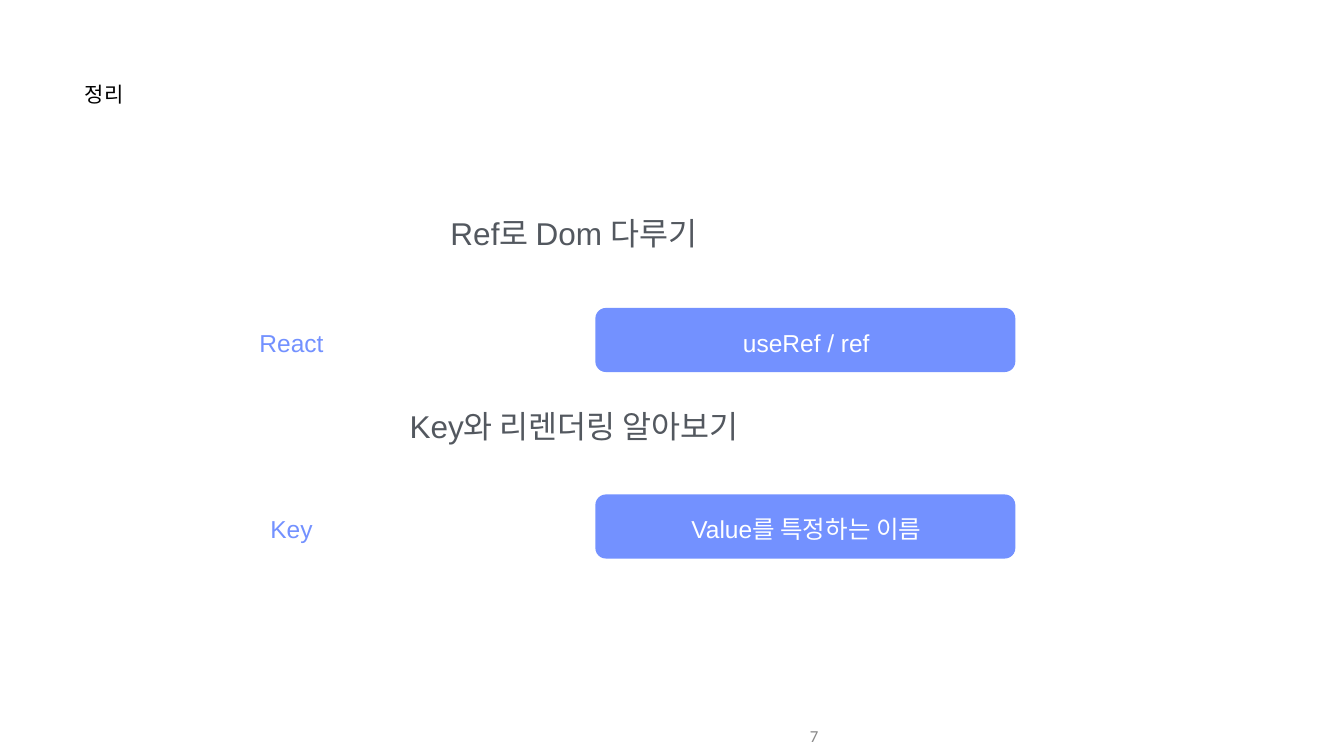
from dataclasses import dataclass

from pptx import Presentation
from pptx.dml.color import RGBColor
from pptx.enum.shapes import MSO_SHAPE
from pptx.enum.text import MSO_ANCHOR, PP_ALIGN
from pptx.util import Cm, Pt


@dataclass(frozen=True)
class Theme:
    body_font: str = "Arial"
    number_font: str = "Calibri"
    black: str = "000000"
    white: str = "FFFFFF"
    heading_gray: str = "53585F"
    number_gray: str = "888888"
    blue: str = "7391FF"
    title_size: int = 30
    heading_size: int = 45
    row_size: int = 35
    number_size: int = 24


THEME = Theme()
ROW_HEIGHT = 3.23
LABEL_WIDTH = 15.88
ANSWER_WIDTH = 21.16
PLAIN_INSETS = (0.03, 0.03, 0.03, 0.03)
ROW_INSETS = (0.1, 0.23, 0, 0)


def write_text(shape, text, size, color, font=THEME.body_font,
               align=PP_ALIGN.CENTER, anchor=MSO_ANCHOR.TOP, insets=PLAIN_INSETS):
    """Fill a shape with one line of text; insets are left, top, right, bottom."""
    frame = shape.text_frame
    left, top, right, bottom = map(Cm, insets)
    frame_format = {
        "word_wrap": True, "vertical_anchor": anchor, "margin_left": left,
        "margin_top": top, "margin_right": right, "margin_bottom": bottom,
    }
    for name, value in frame_format.items():
        setattr(frame, name, value)
    paragraph = frame.paragraphs[0]
    paragraph.alignment = align
    run = paragraph.add_run()
    run.text = text
    for name, value in {"name": font, "size": Pt(size)}.items():
        setattr(run.font, name, value)
    run.font.color.rgb = RGBColor.from_string(color)


def add_text(slide, box, text, size, color, **text_format):
    write_text(slide.shapes.add_textbox(*map(Cm, box)), text, size, color, **text_format)


def add_answer(slide, box, text):
    answer = slide.shapes.add_shape(MSO_SHAPE.ROUNDED_RECTANGLE, *map(Cm, box))
    answer.adjustments[0] = 0.164
    answer.shadow.inherit = False
    answer.fill.solid()
    answer.fill.fore_color.rgb = RGBColor.from_string(THEME.blue)
    answer.line.fill.background()
    write_text(answer, text, THEME.row_size, THEME.white,
               anchor=MSO_ANCHOR.MIDDLE, insets=ROW_INSETS)


def add_topic(slide, box, heading, label, answer):
    """Heading at the top of the box; label and answer along its bottom edge."""
    left, top, width, height = box
    row_top = top + height - ROW_HEIGHT
    add_text(slide, (left, top, width, 2), heading, THEME.heading_size, THEME.heading_gray)
    add_text(slide, (left, row_top, LABEL_WIDTH, ROW_HEIGHT), label,
             THEME.row_size, THEME.blue, anchor=MSO_ANCHOR.MIDDLE, insets=ROW_INSETS)
    add_answer(slide, (left + width - ANSWER_WIDTH, row_top, ANSWER_WIDTH, ROW_HEIGHT), answer)


def main():
    presentation = Presentation()
    presentation.slide_width = Cm(67.72)
    presentation.slide_height = Cm(38.1)
    slide = presentation.slides.add_slide(presentation.slide_layouts[6])

    add_text(slide, (4.24, 4.06, 12.34, 3), "정리", THEME.title_size, THEME.black,
             align=PP_ALIGN.LEFT)
    add_topic(slide, (6.7, 10.77, 44.46, 7.98),
              "Ref로 Dom 다루기", "React", "useRef / ref")
    add_topic(slide, (6.7, 20.5, 44.46, 7.65),
              "Key와 리렌더링 알아보기", "Key", "Value를 특정하는 이름")
    add_text(slide, (26.24, 36.09, 15.24, 2), "7", THEME.number_size, THEME.number_gray,
             font=THEME.number_font, align=PP_ALIGN.RIGHT, anchor=MSO_ANCHOR.MIDDLE,
             insets=(0.25, 0.13, 0.25, 0.13))

    presentation.save("out.pptx")


if __name__ == "__main__":
    main()
